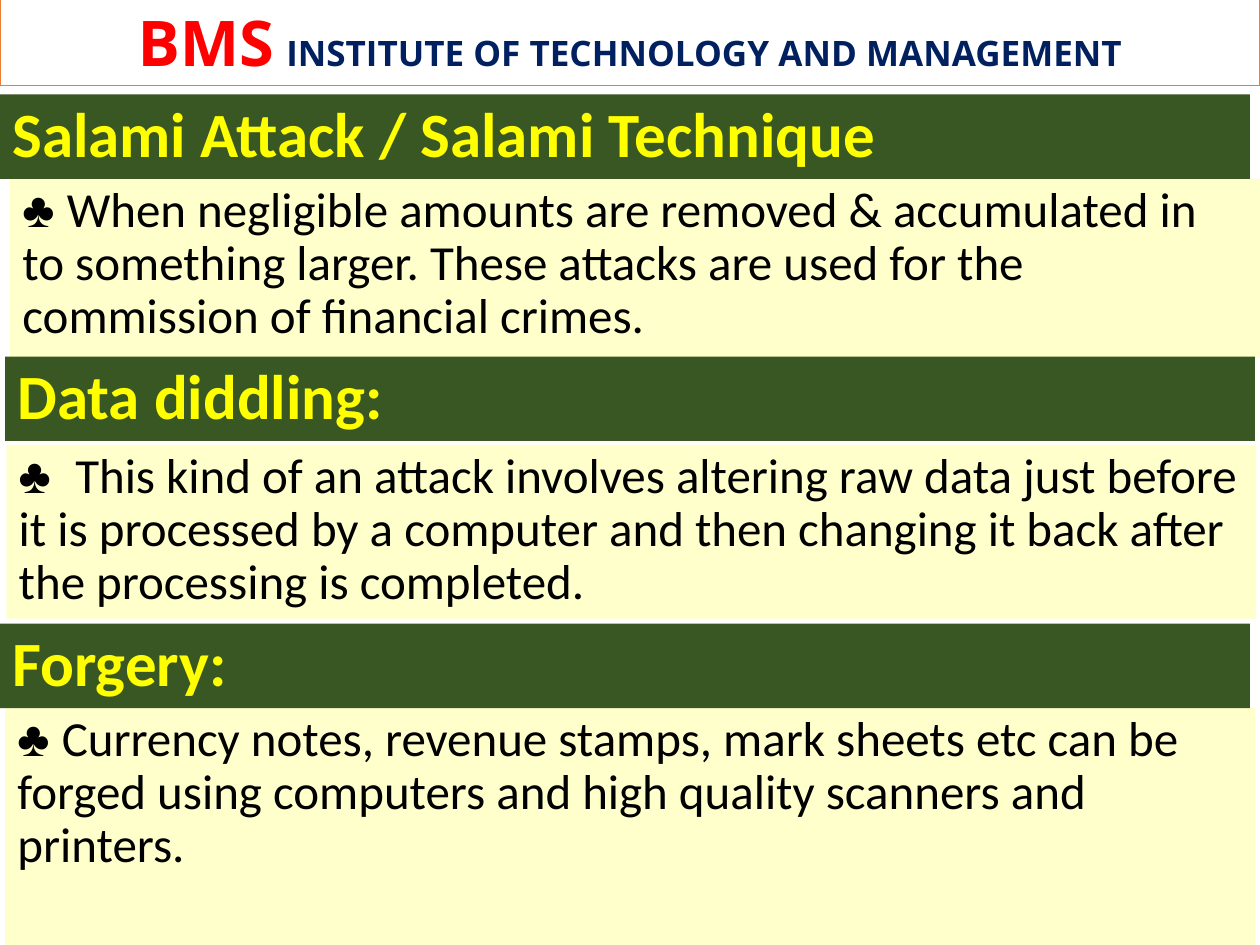
"""Build a slide on three kinds of computer crime under an institute banner."""
from pptx import Presentation
from pptx.dml.color import RGBColor
from pptx.enum.shapes import MSO_SHAPE as Shape
from pptx.enum.text import MSO_ANCHOR as Anchor, PP_ALIGN as Align
from pptx.util import Inches, Pt

COLOURS = {
    "white": "FFFFFF", "orange": "ED7D31", "red": "FF0000", "navy": "002060",
    "cream": "FFFFCC", "green": "385723", "yellow": "FFFF00", "black": "000000",
}
FORMATS = {
    "initials": ({"name": "Open Sans", "size": Pt(36), "bold": True}, "red"),
    "gap": ({"name": "Open Sans", "size": Pt(27), "bold": True}, "red"),
    "institute": ({"name": "Open Sans", "size": Pt(20), "bold": True}, "navy"),
    "heading": ({"name": "Calibri", "size": Pt(36), "bold": True}, "yellow"),
    "club": ({"name": "Times New Roman", "size": Pt(28), "bold": False}, "black"),
    "body": ({"name": "Calibri", "size": Pt(28), "bold": False}, "black"),
}


def add_band(box, fill, anchor):
    band = slide.shapes.add_shape(Shape.RECTANGLE, *map(Inches, box))
    band.shadow.inherit = False
    band.fill.solid()
    band.fill.fore_color.rgb = RGBColor.from_string(COLOURS[fill])
    band.line.fill.background()
    band.text_frame.word_wrap = True
    band.text_frame.vertical_anchor = anchor
    return band


def write(paragraph, pieces):
    for text, style in pieces:
        run = paragraph.add_run()
        run.text = text
        values, colour = FORMATS[style]
        for key, value in values.items():
            setattr(run.font, key, value)
        run.font.color.rgb = RGBColor.from_string(COLOURS[colour])


deck = Presentation()
deck.slide_width, deck.slide_height = Inches(10), Inches(7.5)
slide = deck.slides.add_slide(deck.slide_layouts[6])

banner = add_band((0, -0.03, 10, 0.71), "white", Anchor.MIDDLE)
banner.line.color.rgb = RGBColor.from_string(COLOURS["orange"])
banner.line.width = Pt(1)
banner.text_frame.margin_top = banner.text_frame.margin_bottom = 0
institute = banner.text_frame.paragraphs[0]
institute.alignment = Align.CENTER
institute.space_after = Pt(2)
write(institute, [
    ("BMS", "initials"), (" ", "gap"),
    ("INSTITUTE OF TECHNOLOGY AND MANAGEMENT", "institute"),
])

WIDTH, HEADING_HEIGHT = 9.92, 0.67
crimes = [
    ("Salami Attack / Salami Technique", (0, 0.75), (0.08, 1.42), 1.42, 0,
     "When negligible amounts are removed & accumulated in to something larger. "
     "These attacks are used for the commission of financial crimes."),
    ("Data diddling:", (0.04, 2.83), (0.05, 3.53), 1.38, 350,
     "This kind of an attack involves altering raw data just before it is processed "
     "by a computer and then changing it back after the processing is completed."),
    ("Forgery:", (0, 4.95), (0.04, 5.62), 1.88, 0,
     "Currency notes, revenue stamps, mark sheets etc can be forged using computers "
     "and high quality scanners and printers."),
]
for title, title_at, body_at, body_height, club_spacing, description in crimes:
    body = add_band((*body_at, WIDTH, body_height), "cream", Anchor.TOP)
    heading = add_band((*title_at, WIDTH, HEADING_HEIGHT), "green", Anchor.MIDDLE)
    for band, pieces in (
        (heading, [(title, "heading")]),
        (body, [("♣ ", "club"), (description, "body")]),
    ):
        paragraph = band.text_frame.paragraphs[0]
        paragraph.alignment = Align.LEFT
        paragraph.line_spacing = 0.9
        write(paragraph, pieces)
    club = body.text_frame.paragraphs[0].runs[0]
    club.font._element.set("spc", str(club_spacing))

deck.save("out.pptx")
